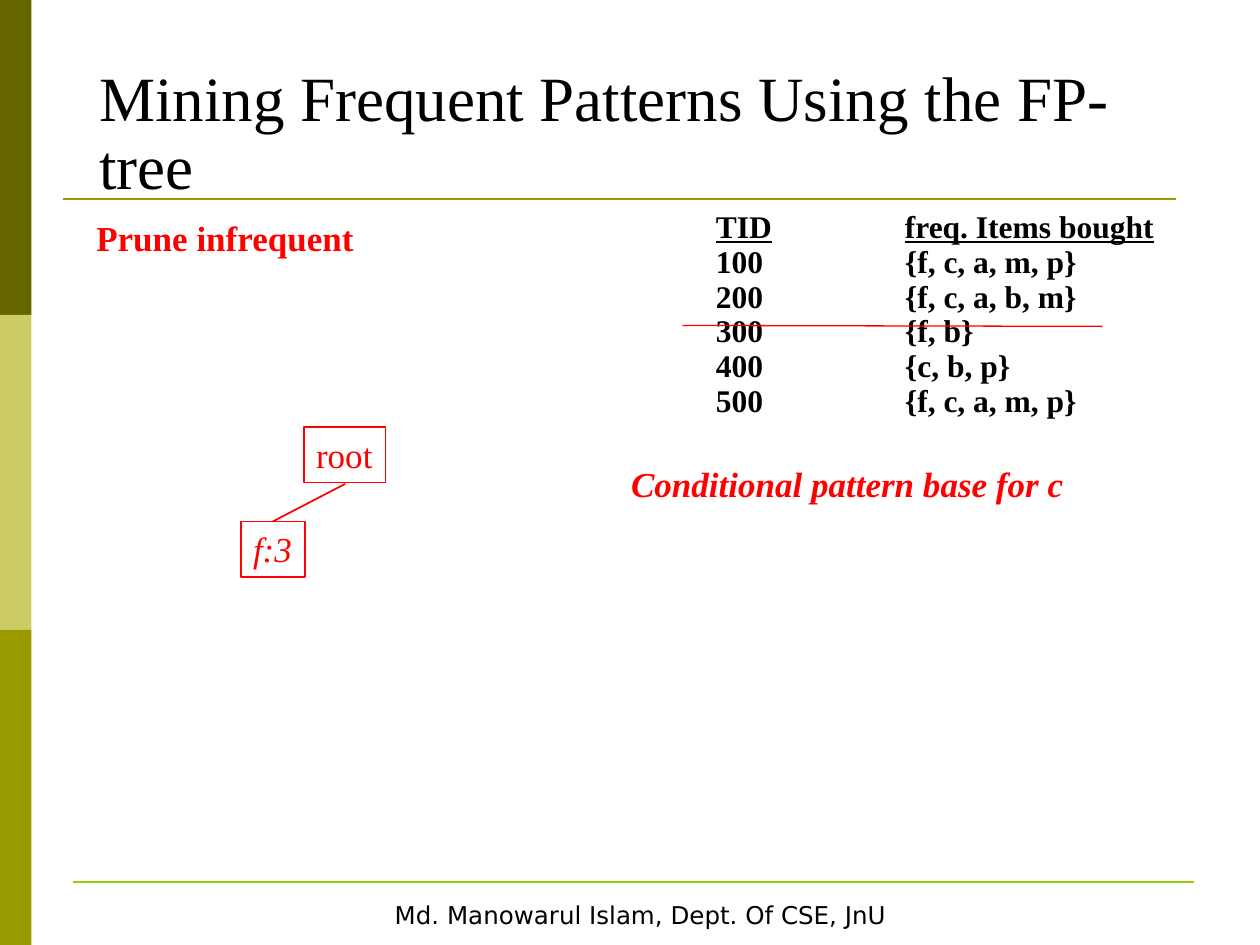
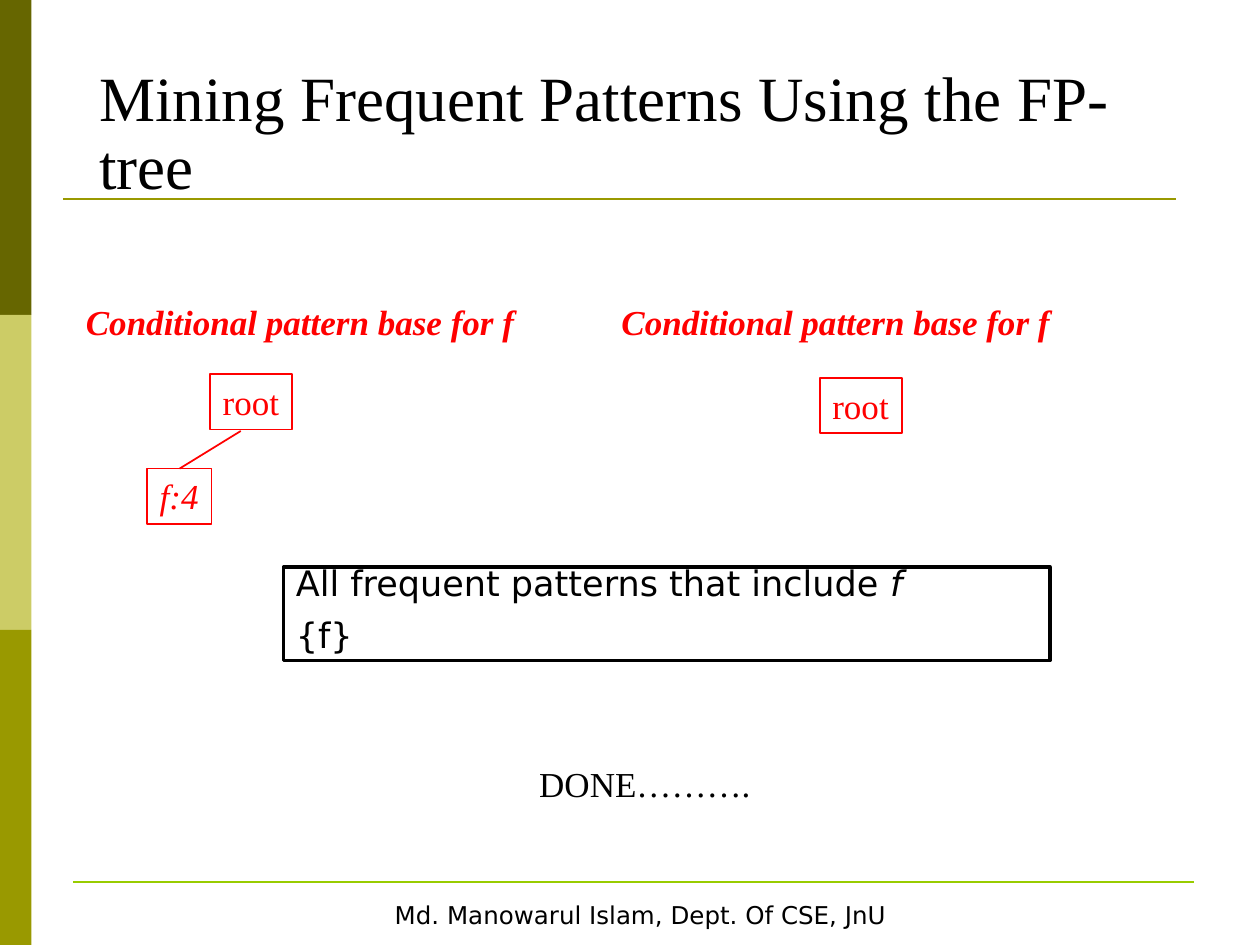
from lxml import etree
from pptx import Presentation
from pptx.dml.color import RGBColor
from pptx.enum import shapes, text
from pptx.oxml.ns import qn
from pptx.util import Pt

SERIF, SANS = "Times New Roman", "DejaVu Sans"
BLACK, WHITE, RED = "000000", "FFFFFF", "FF0000"
OLIVE, LIME = "999900", "98CC00"
BANDS = ["666600", "CCCC66", OLIVE]
RULES = [((36, 113.75), (672, 113.75), OLIVE), ((42, 504), (682.5, 504), LIME)]
TITLE = "Mining Frequent Patterns Using the FP-tree"
FOOTER = "Md. Manowarul Islam, Dept. Of CSE, JnU"

TRANSACTIONS = [
    ("TID", "freq. Items bought"),
    ("100", "{f, c, a, m, p}"),
    ("200", "{f, c, a, b, m}"),
    ("300", "{f, b}"),
    ("400", "{c, b, p}"),
    ("500", "{f, c, a, m, p}"),
]
PATTERNS = [
    [("All frequent patterns that include ", False), ("f", True)],
    [("{f}", False)],
]
HEADING = dict(color=RED, bold=True)
BASE_HEADING = dict(HEADING, italic=True)
ITEM_TAB = 108
ROOT_SIZE, LEAF_SIZE = (46.8, 31.7), (36.7, 31.7)


def rgb(value):
    return RGBColor.from_string(value)


def style(font, size, name, color, bold=False, italic=False):
    font.size, font.name = Pt(size), name
    font.bold, font.italic = bold, italic
    font.color.rgb = rgb(color)


def write(box, paras, size=20, name=SERIF, color=BLACK, bold=False, italic=False,
          wrap=True, align="LEFT", anchor="TOP", spacing=None, before=0, tab=None):
    frame = box.text_frame
    frame.auto_size = text.MSO_AUTO_SIZE.NONE
    frame.word_wrap = wrap
    frame.vertical_anchor = text.MSO_ANCHOR[anchor]
    for index, spans in enumerate([paras] if isinstance(paras, str) else paras):
        para = frame.add_paragraph() if index else frame.paragraphs[0]
        para.alignment = text.PP_ALIGN[align]
        para.line_spacing = spacing
        para.space_before = Pt(before if index else 0)
        if tab:
            tabs = etree.SubElement(para._p.get_or_add_pPr(), qn("a:tabLst"))
            etree.SubElement(tabs, qn("a:tab"), pos=str(Pt(tab)), algn="l")
        for words, slanted in [(spans, italic)] if isinstance(spans, str) else spans:
            span = para.add_run()
            span.text = words
            style(span.font, size, name, color, bold, slanted)
    return frame


def add_text(page, area, paras, **look):
    box = page.shapes.add_textbox(*map(Pt, area))
    return write(box, paras, **look)


def add_box(page, area, fill=None, line=None, weight=1):
    box = page.shapes.add_shape(shapes.MSO_SHAPE.RECTANGLE, *map(Pt, area))
    box.shadow.inherit = False
    if fill:
        box.fill.solid()
        box.fill.fore_color.rgb = rgb(fill)
    else:
        box.fill.background()
    if line:
        box.line.color.rgb = rgb(line)
        box.line.width = Pt(weight)
    else:
        box.line.fill.background()
    return box


def add_line(page, start, end, color, weight):
    line = page.shapes.add_connector(
        shapes.MSO_CONNECTOR.STRAIGHT, *map(Pt, start + end))
    line.line.color.rgb = rgb(color)
    line.line.width = Pt(weight)
    etree.SubElement(line._element.spPr, qn("a:effectLst"))


def add_node(page, left, top, size, label, italic=False):
    box = add_box(page, (left, top, *size), line=RED)
    write(box, label, color=RED, italic=italic, wrap=False)


def add_tree(page, left, top, leaf, branch):
    add_node(page, left, top, ROOT_SIZE, "root")
    add_node(page, left - 36, top + 54, LEAF_SIZE, leaf, italic=True)
    add_line(page, (left + branch, top + 32.5), (left - 17.6, top + 54), RED, 1)


def add_page(deck):
    page = deck.slides.add_slide(deck.slide_layouts[5])
    title = page.shapes.title
    title.left, title.top, title.width, title.height = map(Pt, (49.5, 36, 642, 84))
    write(title, TITLE, size=36, anchor="BOTTOM", spacing=0.9)
    for index, color in enumerate(BANDS):
        add_box(page, (0, index * 180, 18, 180), fill=color)
    for start, end, color in RULES:
        add_line(page, start, end, color, 1.5)
    footer = add_box(page, (36, 511, 660, 25), fill=WHITE, line=WHITE, weight=2)
    write(footer, FOOTER, size=14, name=SANS, align="CENTER", wrap=False)
    return page


def build_prune_page(deck):
    page = add_page(deck)
    rows = ["\t".join(row) for row in TRANSACTIONS]
    frame = add_text(page, (402, 126, 276, 115), rows, size=18, bold=True,
                     spacing=0.4, before=11.2, tab=ITEM_TAB)
    for span in frame.paragraphs[0].runs:
        span.font.underline = True
    add_line(page, (390, 186), (630, 186.5), RED, 0.75)
    add_text(page, (48, 120, 294, 31.7), "Prune infrequent", align="JUSTIFY", **HEADING)
    add_text(page, (353.5, 261, 300, 31.7), "Conditional pattern base for c", **BASE_HEADING)
    add_tree(page, 173.5, 244, "f:3", 23.8)


def build_done_page(deck):
    page = add_page(deck)
    for left, width in [(42, 282), (348, 300)]:
        add_text(page, (left, 168, width, 31.7), "Conditional pattern base for f", **BASE_HEADING)
    add_tree(page, 120.2, 213.8, "f:4", 17.4)
    add_node(page, 468.5, 216, ROOT_SIZE, "root")
    patterns = add_box(page, (162, 324, 438, 53.5), fill=WHITE, line=BLACK, weight=2)
    write(patterns, PATTERNS, name=SANS, spacing=0.7, before=12.5)
    add_text(page, (301, 432, 135, 31.7), "DONE……….", wrap=False)


def main():
    deck = Presentation()
    deck.slide_width, deck.slide_height = Pt(720), Pt(540)
    build_prune_page(deck)
    build_done_page(deck)
    deck.save("out.pptx")


if __name__ == "__main__":
    main()
